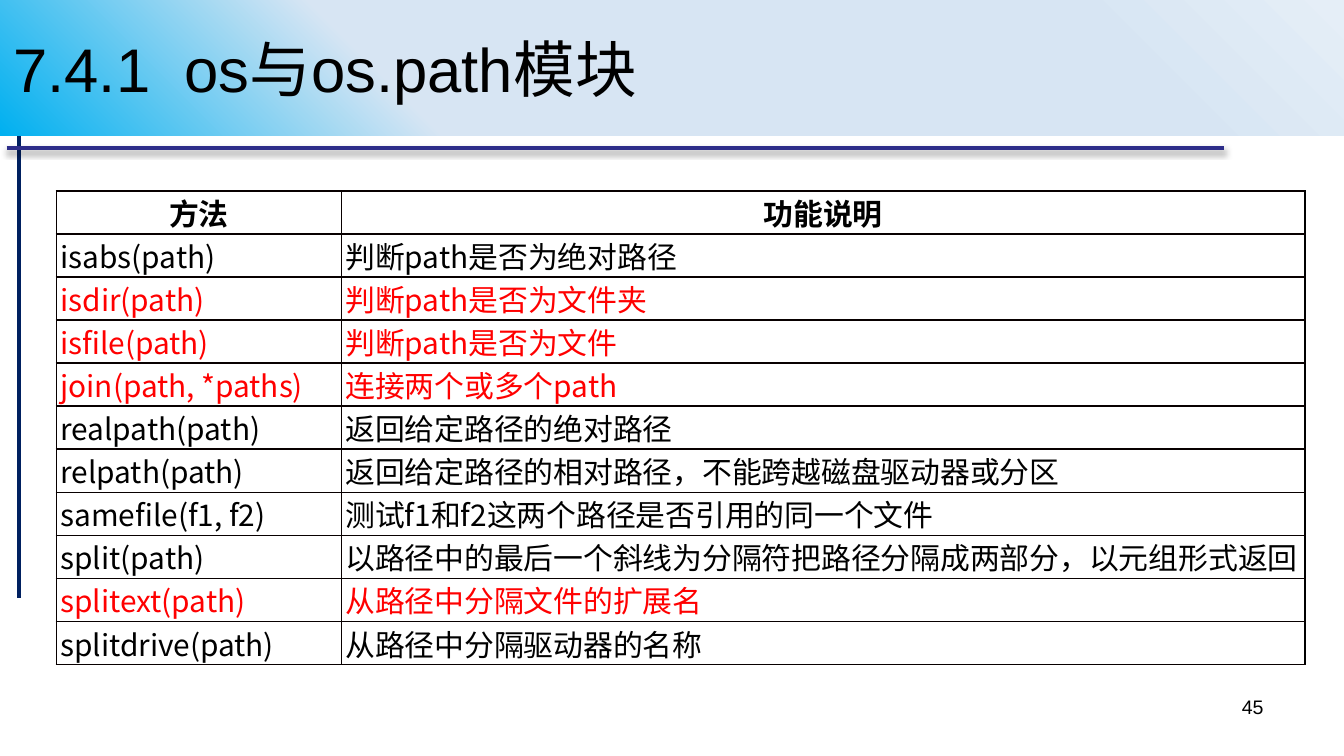
"""Build the slide listing path functions in a two-column table."""
from lxml import etree
from pptx import Presentation, util as u
from pptx.dml.color import RGBColor
from pptx.enum import shapes, text
from pptx.oxml import ns

TITLE = "7.4.1  os与os.path模块"
PAGE_NUMBER = "45"
HEADER = ("方法", "功能说明")
METHODS = [
    ("isabs(path)", "判断path是否为绝对路径"),
    ("isdir(path)", "判断path是否为文件夹"),
    ("isfile(path)", "判断path是否为文件"),
    ("join(path, *paths)", "连接两个或多个path"),
    ("realpath(path)", "返回给定路径的绝对路径"),
    ("relpath(path)", "返回给定路径的相对路径，不能跨越磁盘驱动器或分区"),
    ("samefile(f1, f2)", "测试f1和f2这两个路径是否引用的同一个文件"),
    ("split(path)", "以路径中的最后一个斜线为分隔符把路径分隔成两部分，以元组形式返回"),
    ("splitext(path)", "从路径中分隔文件的扩展名"),
    ("splitdrive(path)", "从路径中分隔驱动器的名称"),
]
KEY_METHODS = {"isdir(path)", "isfile(path)", "join(path, *paths)", "splitext(path)"}
CJK = "Noto Sans CJK SC"
WIDTH = 10
HEIGHT = WIDTH * 9 / 16
COLUMNS = (2.12, 7.17)
ROW = 0.27
BAND = 1.01
GRADIENT = [(0, "00B0F0"), (30, "D7E5F3"), (81, "D7E5F3"), (100, "E5EEF7")]
A = ns.nsdecls("a")


def color(value):
    return RGBColor.from_string(value)


def write(frame, content, size, font, ink="000000", bold=False, align=text.PP_ALIGN.LEFT):
    frame.text = content
    paragraph = frame.paragraphs[0]
    paragraph.alignment = align
    run = paragraph.runs[0]
    run.font.size, run.font.name, run.font.bold = u.Pt(size), font, bold
    run.font.color.rgb = color(ink)
    etree.SubElement(run.font._element, ns.qn("a:ea"), typeface=CJK)


def rule(start, end, ink, effect=""):
    line = slide.shapes.add_connector(
        shapes.MSO_CONNECTOR.STRAIGHT, *(u.Inches(v) for v in start + end))
    line.line.color.rgb = color(ink)
    line.line.width = u.Pt(2.25)
    line._element.spPr.append(etree.fromstring(f"<a:effectLst {A}>{effect}</a:effectLst>"))


def border(cell, last_column):
    for index, side in enumerate("LRTB"):
        outer = side == "R" and last_column
        width, ink = (0.75, "000000") if outer else (1, "080000")
        cell._tc.get_or_add_tcPr().insert(index, etree.fromstring(
            f'<a:ln{side} {A} w="{u.Pt(width)}"><a:solidFill><a:srgbClr val="{ink}"/>'
            f'</a:solidFill></a:ln{side}>'))


deck = Presentation()
deck.slide_width, deck.slide_height = u.Inches(WIDTH), u.Inches(HEIGHT)
slide = deck.slides.add_slide(deck.slide_layouts[5])

rule((0.14, 0.81), (0.14, 4.45), "002060")
rule((0.05, 1.1), (9.11, 1.1), "2D2D89",
     f'<a:outerShdw blurRad="{u.Pt(3.1)}" dist="{u.Pt(1.8)}" dir="5400000">'
     '<a:srgbClr val="000000"><a:alpha val="35000"/></a:srgbClr></a:outerShdw>')

rows = [HEADER] + METHODS
table = slide.shapes.add_table(
    len(rows), len(COLUMNS), u.Inches(0.42), u.Inches(1.42),
    u.Inches(sum(COLUMNS)), u.Inches(ROW * len(rows))).table
table.first_row = table.horz_banding = False
for column, width in zip(table.columns, COLUMNS):
    column.width = u.Inches(width)
for r, row in enumerate(rows):
    table.rows[r].height = u.Inches(ROW)
    is_header = r == 0
    for c, content in enumerate(row):
        cell = table.cell(r, c)
        cell.margin_left = u.Inches(0 if is_header else 0.03)
        cell.margin_top = cell.margin_right = cell.margin_bottom = 0
        cell.fill.background()
        border(cell, c == len(COLUMNS) - 1)
        write(cell.text_frame, content, 16, CJK,
              "FF0000" if row[0] in KEY_METHODS else "000000", is_header,
              text.PP_ALIGN.CENTER if is_header else text.PP_ALIGN.LEFT)

title = slide.shapes.title
title.left, title.top, title.width, title.height = 0, 0, deck.slide_width, u.Inches(BAND)
stops = "".join(f'<a:gs pos="{at * 1000}"><a:srgbClr val="{ink}"/></a:gs>'
                for at, ink in GRADIENT)
title._element.spPr.append(etree.fromstring(
    f'<a:gradFill {A} rotWithShape="1"><a:gsLst>{stops}</a:gsLst><a:path path="circle">'
    '<a:fillToRect t="100000" r="100000"/></a:path></a:gradFill>'))
write(title.text_frame, TITLE, 33, "Arial")
title.text_frame.vertical_anchor = text.MSO_ANCHOR.MIDDLE
title.text_frame.auto_size = text.MSO_AUTO_SIZE.NONE
slide.shapes._spTree.append(title._element)

page = slide.shapes.add_textbox(*(u.Inches(v) for v in (7.17, 5.12, 2.33, 0.39)))
page.text_frame.word_wrap = True
write(page.text_frame, PAGE_NUMBER, 10.5, "Arial", align=text.PP_ALIGN.RIGHT)

deck.save("out.pptx")
